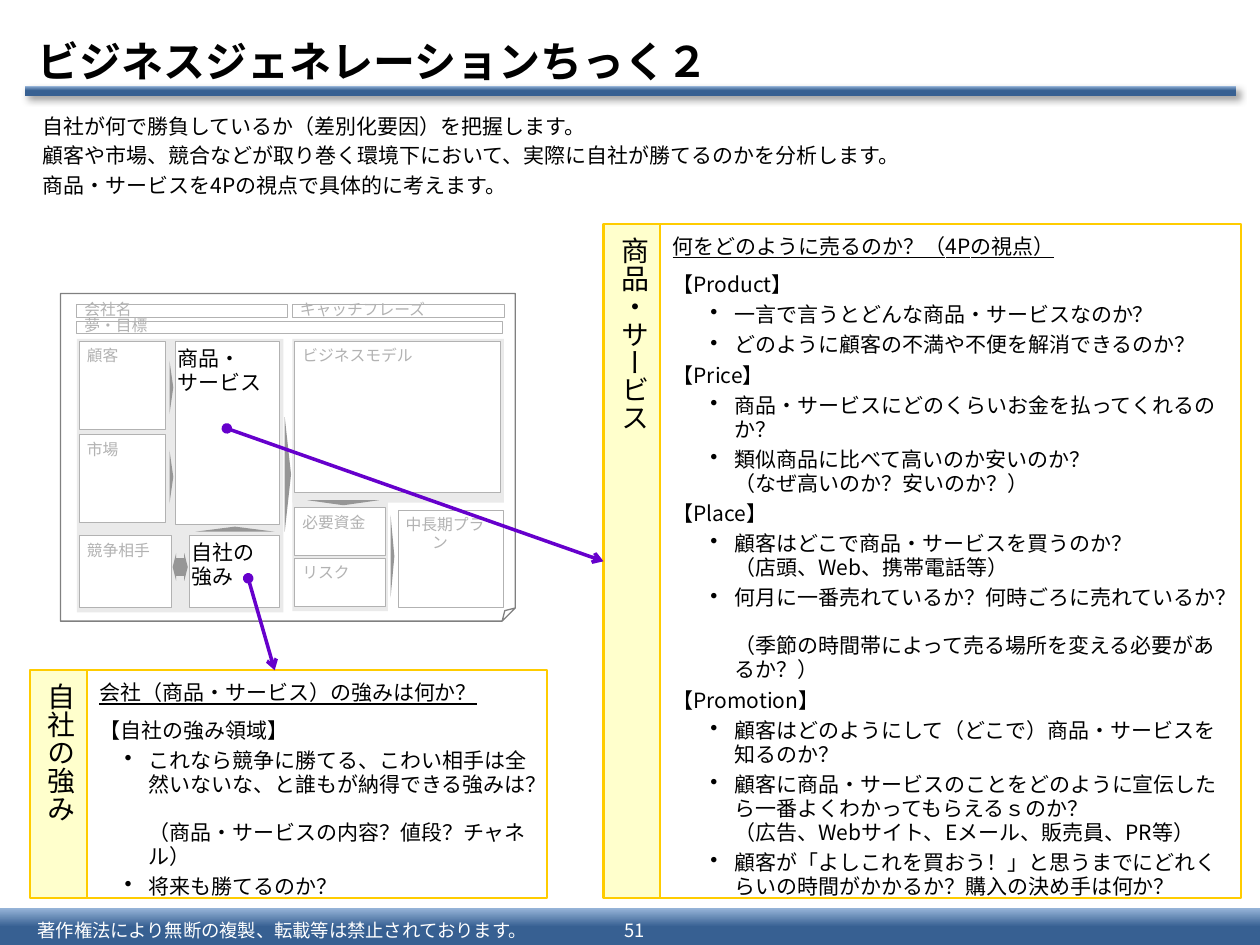
"""Build the business plan slide on company strengths and the 4P view."""
import copy

import pptx
import pptx.dml.color
import pptx.enum.shapes
import pptx.enum.text
import pptx.oxml
import pptx.oxml.ns
import pptx.util

RGB = pptx.dml.color.RGBColor
MSO = pptx.enum.shapes.MSO_SHAPE
ANCHOR = pptx.enum.text.MSO_ANCHOR
ALIGN = pptx.enum.text.PP_ALIGN
qn = pptx.oxml.ns.qn

BLACK, WHITE = RGB(0, 0, 0), RGB(0xFF, 0xFF, 0xFF)
NAVY, SKY = RGB(0x37, 0x60, 0x92), RGB(0x95, 0xB3, 0xD7)
EDGE, PALE = RGB(0xB2, 0xB2, 0xB2), RGB(0xEA, 0xEA, 0xEA)
MARK, FRAME = RGB(0x96, 0x96, 0x96), RGB(0x80, 0x80, 0x80)
GOLD, CREAM = RGB(0xFF, 0xCC, 0), RGB(0xFF, 0xFF, 0xCC)
PURPLE = RGB(0x66, 0, 0xCC)

COLS, ROWS = 100, 75
CELL = pptx.util.Inches(0.1)
JP, LATIN = "Noto Sans CJK JP", "Calibri"
NS = 'xmlns:a="http://schemas.openxmlformats.org/drawingml/2006/main"'
SHADOW = (f'<a:effectLst {NS}><a:outerShdw blurRad="50800" dist="38100" dir="2700000">'
          '<a:srgbClr val="000000"><a:alpha val="40000"/></a:srgbClr></a:outerShdw></a:effectLst>')

LEAD = ["自社が何で勝負しているか（差別化要因）を把握します。",
        "顧客や市場、競合などが取り巻く環境下において、実際に自社が勝てるのかを分析します。",
        "商品・サービスを4Pの視点で具体的に考えます。"]
STRENGTH = ["会社（商品・サービス）の強みは何か？", "【自社の強み領域】",
            "これなら競争に勝てる、こわい相手は全然いないな、と誰もが納得できる強みは？\n"
            "（商品・サービスの内容？値段？チャネル）",
            "将来も勝てるのか？"]
FOUR_P = ["何をどのように売るのか？（4Pの視点）", "【Product】",
          "一言で言うとどんな商品・サービスなのか？",
          "どのように顧客の不満や不便を解消できるのか？", "【Price】",
          "商品・サービスにどのくらいお金を払ってくれるのか？",
          "類似商品に比べて高いのか安いのか？\n（なぜ高いのか？安いのか？）", "【Place】",
          "顧客はどこで商品・サービスを買うのか？\n（店頭、Web、携帯電話等）",
          "何月に一番売れているか？何時ごろに売れているか？\n"
          "（季節の時間帯によって売る場所を変える必要があるか？）", "【Promotion】",
          "顧客はどのようにして（どこで）商品・サービスを知るのか？",
          "顧客に商品・サービスのことをどのように宣伝したら一番よくわかってもらえるｓのか？\n"
          "（広告、Webサイト、Eメール、販売員、PR等）",
          "顧客が「よしこれを買おう！」と思うまでにどれくらいの時間がかかるか？購入の決め手は何か？"]

HEADERS = [("会社名", (6.1, 24.2, 16.7, 1)), ("キャッチフレーズ", (23.2, 24.2, 16.8, 1)),
           ("夢・目標", (6.1, 25.5, 33.8, 1))]
RIGHT_CELLS = [("ビジネスモデル", (23.4, 27.1, 16.3, 12)), ("必要資金", (23.4, 40.3, 7.2, 3.8)),
               ("中長期プラン", (31.6, 40.5, 8.4, 7.7)), ("リスク", (23.4, 44.3, 7.2, 3.8))]
LEFT_CELLS = [("顧客", (6.3, 27.1, 6.8, 7)), ("市場", (6.3, 34.5, 6.8, 7)),
              ("競争相手", (6.3, 42.5, 7.3, 5.7))]
FOCUS_CELLS = [("商品・\nサービス", (13.9, 27.1, 8.3, 14.5)), ("自社の\n強み", (15, 42.5, 7.2, 5.7))]
TRIANGLES = [((11.5, 30.6, 4.2, 0.3), 90), ((11.5, 37.7, 4.2, 0.3), 90),
             ((15.5, 41.8, 6.3, 0.4), 0), ((18.3, 37.4, 9.1, 0.5), 90),
             ((24.4, 39.7, 5.7, 0.4), 180), ((27.9, 44, 6.5, 0.3), 90)]


def grid(*cells):
    """Turn grid cells into slide lengths."""
    return [round(n * CELL) for n in cells]


def assign(obj, values):
    """Set every attribute of an object from a dict."""
    for name, value in values.items():
        setattr(obj, name, value)


def add_box(shapes, box, fill=None, line=None, width=0.5, kind=MSO.RECTANGLE, turn=0):
    """Add a preset shape with plain fill and outline."""
    sp = shapes.add_shape(kind, *grid(*box))
    sp.shadow.inherit = False
    sp.rotation = turn
    if fill is None:
        sp.fill.background()
    else:
        sp.fill.solid()
        sp.fill.fore_color.rgb = fill
    if line is None:
        sp.line.fill.background()
    else:
        sp.line.color.rgb = line
        sp.line.width = pptx.util.Pt(width)
    return sp


def adjust(sp, **guides):
    """Set the named adjustment guides of a preset shape as shares."""
    geom = sp._element.spPr.find(qn("a:prstGeom"))
    for old in geom.findall(qn("a:avLst")):
        geom.remove(old)
    items = "".join(f'<a:gd name="{name}" fmla="val {round(share * 100000)}"/>'
                    for name, share in guides.items())
    geom.append(pptx.oxml.parse_xml(f"<a:avLst {NS}>{items}</a:avLst>"))


def add_band(shapes, box):
    """Add a blue gradient band."""
    sp = add_box(shapes, box)
    sp.fill.gradient()
    sp.fill.gradient_angle = 90
    for stop, color, pos in zip(sp.fill.gradient_stops, (NAVY, SKY), (0.5, 1)):
        stop.color.rgb = color
        stop.position = pos
    return sp


def set_frame(sp, anchor=ANCHOR.TOP, ins=(1, 0.5, 1, 0.5)):
    """Set wrapping, anchor and insets of a shape's text."""
    tf = sp.text_frame
    sides = ("margin_left", "margin_top", "margin_right", "margin_bottom")
    assign(tf, {"word_wrap": True, "vertical_anchor": anchor, **dict(zip(sides, grid(*ins)))})
    return tf


def write(tf, text, size, font=JP, color=BLACK, align=ALIGN.LEFT, ls=None, sb=0, sa=0,
          indent=None, bullet=False, **style):
    """Write one paragraph; spacing is a share of the text size."""
    first = not tf.paragraphs[0].runs
    p = tf.paragraphs[0] if first else tf.add_paragraph()
    p.text = text
    assign(p, {"alignment": align, "line_spacing": ls, "level": int(bullet),
               "space_before": pptx.util.Pt(0 if first else sb * size),
               "space_after": pptx.util.Pt(sa * size)})
    pPr = p._p.get_or_add_pPr()
    if indent:
        left, hang = grid(*indent)
        pPr.set("marL", str(left))
        pPr.set("indent", str(hang))
    if bullet:
        pPr.append(pptx.oxml.parse_xml(f'<a:buChar {NS} char="•"/>'))
    for r in p.runs:
        assign(r.font, {"size": pptx.util.Pt(size), "name": font, **style})
        r.font.color.rgb = color
    for br in p._p.findall(qn("a:br")):
        br.insert(0, copy.deepcopy(p.runs[0]._r.rPr))


def add_label(shapes, box, text, size, **style):
    """Add a text box with a single paragraph."""
    tf = set_frame(shapes.add_textbox(*grid(*box)), ANCHOR.MIDDLE, (1, 0.4, 1, 0.4))
    write(tf, text, size, **style)


def add_cell(shapes, text, box, focus=False, header=False):
    """Add a labelled cell of the plan sheet."""
    sp = add_box(shapes, box, WHITE, EDGE)
    side = 0.2 if focus else 0.6
    tf = set_frame(sp, ANCHOR.MIDDLE if header else ANCHOR.TOP,
                   (side, 0.3 if header else 0.5, side, 0.5))
    write(tf, text, 12 if focus else 9, LATIN, BLACK if focus else EDGE, ls=0.95, sa=0.1,
          indent=None if focus else (2.1, -2.1))


def add_sheet(shapes):
    """Draw the small plan sheet with its cells and markers."""
    adjust(add_box(shapes, (4.8, 23.3, 36.1, 26), None, FRAME, 0.75, MSO.FOLDED_CORNER), adj=0.04)
    for box in ((23.2, 35.5, 7.6, 13), (23.2, 26.9, 16.8, 13), (6.1, 26.9, 16.4, 21.7)):
        add_box(shapes, box, PALE)
    for text, box in HEADERS:
        add_cell(shapes, text, box, header=True)
    for text, box in RIGHT_CELLS:
        add_cell(shapes, text, box)
    arrow = add_box(shapes, (13.7, 43.9, 1.2, 2.2), MARK, kind=MSO.LEFT_RIGHT_ARROW)
    adjust(arrow, adj1=0.64, adj2=0.23)
    for box, turn in TRIANGLES:
        add_box(shapes, box, MARK, kind=MSO.ISOSCELES_TRIANGLE, turn=turn)
    for cells, focus in ((LEFT_CELLS, False), (FOCUS_CELLS, True)):
        for text, box in cells:
            add_cell(shapes, text, box, focus)


def add_panel(shapes, box, title, items, indent):
    """Add a grouped panel with a vertical title strip and return the strip."""
    left, top, width, height = box
    strip_width = 4.5
    members = shapes.add_group_shape().shapes
    strip = add_box(members, (left, top, strip_width, height), CREAM, GOLD, 1.25)
    tf = set_frame(strip, ANCHOR.MIDDLE)
    tf._txBody.bodyPr.set("vert", "eaVert")
    write(tf, title, 16, ls=0.9, sa=0.1)
    body = add_box(members, (left + strip_width, top, width - strip_width, height), WHITE, GOLD, 1.25)
    tf = set_frame(body, ins=(1, 0.9, 1, 0.5))
    for i, text in enumerate(items):
        bullet = i > 0 and not text.startswith("【")
        write(tf, text, 12, ls=0.95, sb=0.5 if i == 1 else 0.15, sa=0.15, bullet=bullet,
              indent=(indent, -1.9) if bullet else None, underline=i == 0)
    return strip


def add_arrow(shapes, start, end, target=None):
    """Add a purple pointer from a dot to an arrowhead."""
    sp = shapes.add_connector(pptx.enum.shapes.MSO_CONNECTOR.STRAIGHT, *grid(*start, *end))
    if target is not None:
        sp.end_connect(target, 1)
    sp.line.color.rgb = PURPLE
    sp.line.width = pptx.util.Pt(2)
    ln = sp.line._get_or_add_ln()
    for tag, kind in (("headEnd", "oval"), ("tailEnd", "arrow")):
        ln.append(pptx.oxml.parse_xml(f'<a:{tag} {NS} type="{kind}"/>'))
    sp._element.spPr.append(pptx.oxml.parse_xml(f"<a:effectLst {NS}/>"))


def main():
    """Assemble the slide and save it."""
    prs = pptx.Presentation()
    prs.slide_width, prs.slide_height = grid(COLS, ROWS)
    shapes = prs.slides.add_slide(prs.slide_layouts[6]).shapes
    add_band(shapes, (0, 72.1, COLS, 2.9))
    spPr = add_band(shapes, (2, 6.8, 96.1, 0.8))._element.spPr
    spPr.replace(spPr.find(qn("a:effectLst")), pptx.oxml.parse_xml(SHADOW))
    add_label(shapes, (2, 72.5, 42.5, 2.6), "著作権法により無断の複製、転載等は禁止されております。", 10.5, color=WHITE)
    add_label(shapes, (47.6, 72.5, 5.5, 2.6), "51", 10.5, color=WHITE, align=ALIGN.CENTER)
    tf = set_frame(shapes.add_textbox(*grid(2.4, 8.5, 96.1, 9.3)))
    for text in LEAD:
        write(tf, text, 12, sb=0.2)
    add_sheet(shapes)
    add_panel(shapes, (2.4, 53.2, 41, 18.1), "自社の強み", STRENGTH, 3.9)
    strip = add_panel(shapes, (47.9, 17.8, 50.6, 53.5), "商品・サービス", FOUR_P, 4.9)
    add_arrow(shapes, (18, 34), (47.9, 44.6), strip)
    add_arrow(shapes, (19.7, 45.9), (21.8, 53.2))
    add_label(shapes, (2, 2.1, 98, 5.4), "ビジネスジェネレーションちっく２", 24, bold=True)
    prs.save("out.pptx")


if __name__ == "__main__":
    main()
